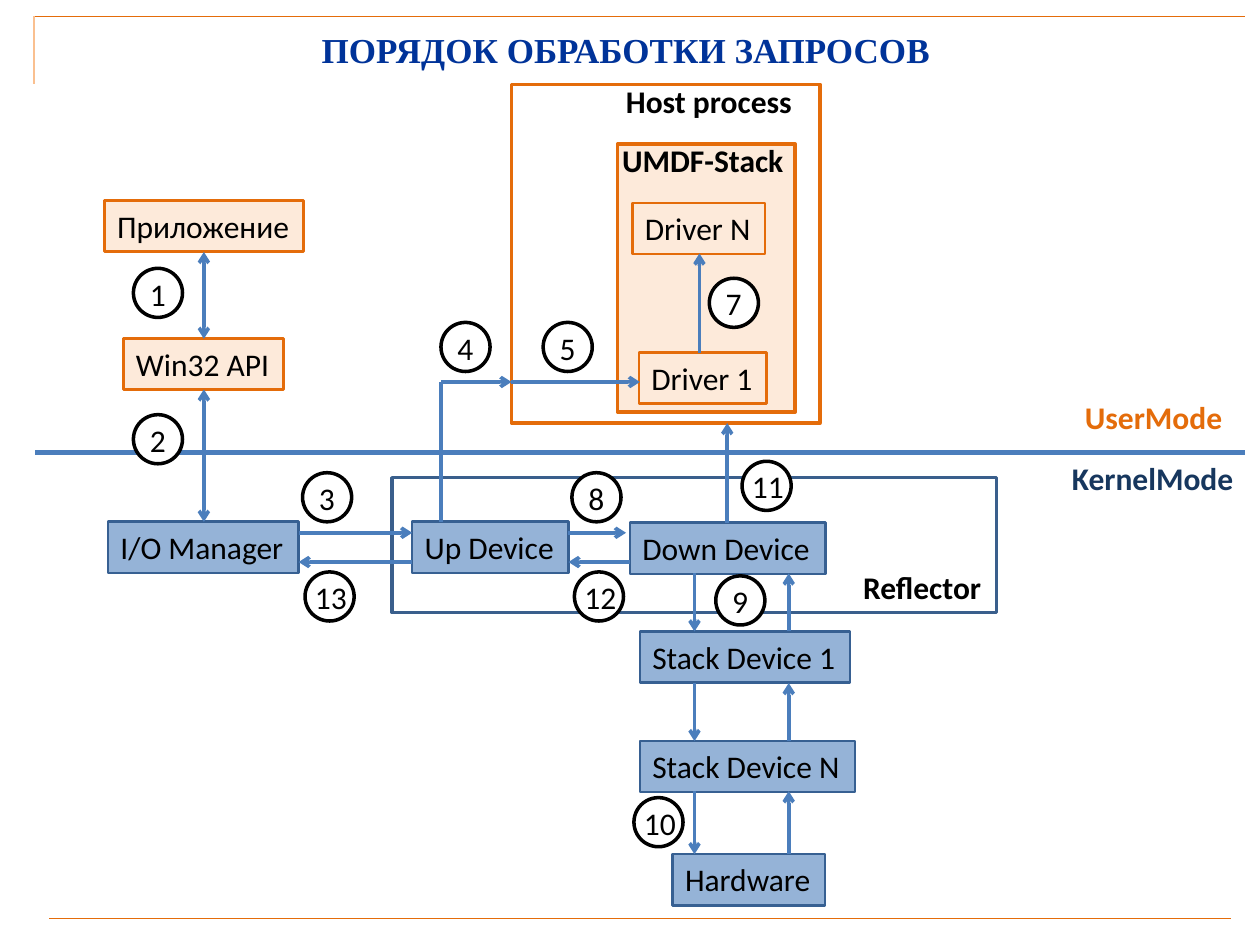
import pptx
import pptx.dml.color
import pptx.enum.shapes
import pptx.enum.text
import pptx.oxml
import pptx.oxml.ns
import pptx.util

Cm, Pt = pptx.util.Cm, pptx.util.Pt
KIND = pptx.enum.shapes.MSO_SHAPE
ALIGN = pptx.enum.text.PP_ALIGN

HUES = {
    "title": "003399", "orange": "E46C0A", "peach": "FAC090",
    "cream": "FDEADA", "sky": "95B3D7", "steel": "376092",
    "frame": "3A5F8C", "flow": "4B7EBC", "navy": "17375E",
    "black": "000000", "white": "FFFFFF",
}
USER = ("cream", "orange")
KERNEL = ("sky", "steel")
ROW = 1.03  # height of a one-line box
DISC = 0.99

# text, left, top, width, (fill, line)
BOXES = [
    ("Приложение", 2.11, 4.04, 4.01, USER),
    ("Win32 API", 2.49, 6.83, 3.23, USER),
    ("Driver N", 12.75, 4.09, 2.67, USER),
    ("Driver 1", 12.88, 7.11, 2.57, USER),
    ("I/O Manager", 2.18, 10.52, 3.84, KERNEL),
    ("Up Device", 8.31, 10.52, 3.15, KERNEL),
    ("Down Device", 12.7, 10.54, 3.94, KERNEL),
    ("Stack Device 1", 12.9, 12.73, 4.24, KERNEL),
    ("Stack Device N", 12.9, 14.94, 4.34, KERNEL),
    ("Hardware", 13.56, 17.22, 3.07, KERNEL),
]
LABELS = [
    ("UserMode", 21.62, 7.9, 3.3, "orange"),
    ("KernelMode", 21.36, 9.12, 3.78, "navy"),
    ("Reflector", 17.15, 11.33, 2.92, "black"),
    ("UMDF-Stack", 12.29, 2.72, 3.81, "black"),
    ("Host process", 12.37, 1.52, 3.89, "black"),
]
STEPS = {
    1: (2.69, 5.41), 2: (2.69, 8.36), 3: (6.1, 9.53), 4: (8.89, 6.5),
    5: (10.95, 6.5), 7: (14.3, 5.61), 8: (11.53, 9.53), 9: (14.43, 11.61),
    10: (12.78, 16.08), 11: (14.96, 9.3), 12: (11.58, 11.53),
    13: (6.15, 11.53),
}
# x and y of the start, then of the end
ARROWS = [
    (6.02, 10.74, 8.31, 10.74), (8.31, 11.33, 6.02, 11.33),
    (11.46, 10.74, 12.62, 10.74), (12.7, 11.33, 11.46, 11.33),
    (8.89, 7.7, 10.31, 7.7), (10.31, 7.7, 12.9, 7.7),
    (14.1, 7.11, 14.1, 5.11), (14.66, 10.54, 14.66, 8.53),
]
GAPS = [(11.56, 12.73), (13.77, 14.94), (15.95, 17.22)]


def hue(name):
    return pptx.dml.color.RGBColor.from_string(HUES[name])


def write(shape, text, color="black", size=18, bold=False,
          face="Calibri", wrap=False, align=ALIGN.LEFT):
    frame = shape.text_frame
    frame.text = text
    frame.word_wrap = wrap
    frame.auto_size = pptx.enum.text.MSO_AUTO_SIZE.SHAPE_TO_FIT_TEXT
    frame.vertical_anchor = pptx.enum.text.MSO_ANCHOR.TOP
    para = frame.paragraphs[0]
    para.alignment = align
    font = para.runs[0].font
    font.name, font.size, font.bold = face, Pt(size), bold
    font.color.rgb = hue(color)


def place(home, kind, area, fill, edge, width):
    """Add a preset shape with a plain fill and outline."""
    shape = home.shapes.add_shape(kind, *map(Cm, area))
    shape.shadow.inherit = False
    if fill:
        shape.fill.solid()
        shape.fill.fore_color.rgb = hue(fill)
    else:
        shape.fill.background()
    shape.line.color.rgb = hue(edge)
    shape.line.width = Pt(width)
    return shape


def label(home, text, area, **style):
    write(home.shapes.add_textbox(*map(Cm, area)), text, **style)


def rule(slide, ends, color="flow", width=2, tips=()):
    """Draw a line; tips names the ends that get an arrowhead."""
    line = slide.shapes.add_connector(
        pptx.enum.shapes.MSO_CONNECTOR.STRAIGHT, *map(Cm, ends))
    line.line.color.rgb = hue(color)
    line.line.width = Pt(width)
    stroke = line.line._get_or_add_ln()
    for tip in tips:
        end = pptx.oxml.parse_xml(
            f'<a:{tip} {pptx.oxml.ns.nsdecls("a")} type="arrow"/>')
        stroke.append(end)
    line._element.spPr.append(pptx.oxml.parse_xml(
        f'<a:effectLst {pptx.oxml.ns.nsdecls("a")}/>'))


def arrow(slide, ends, both=False):
    tips = ("headEnd", "tailEnd") if both else ("tailEnd",)
    rule(slide, ends, tips=tips)


def step(slide, num, left, top):
    """Add a numbered disc."""
    group = slide.shapes.add_group_shape()
    place(group, KIND.OVAL, (left, top, DISC, DISC), "white", "black", 2)
    shift, width = (0.08, 0.84) if num < 10 else (-0.05, 1.17)
    label(group, str(num), (left + shift, top, width, ROW))


def main():
    deck = pptx.Presentation()
    deck.slide_width, deck.slide_height = Cm(25.4), Cm(19.05)
    slide = deck.slides.add_slide(deck.slide_layouts[6])

    label(slide, "ПОРЯДОК ОБРАБОТКИ ЗАПРОСОВ", (2.39, 0.46, 20.45, 1.12),
          color="title", size=20, bold=True, face="Times New Roman",
          wrap=True, align=ALIGN.CENTER)
    rule(slide, (0.69, 0.33, 25.1, 0.33), "orange", 0.75)
    rule(slide, (0.69, 0.33, 0.69, 1.7), "peach", 1.5)
    rule(slide, (0.99, 18.52, 24.82, 18.52), "orange", 0.75)
    rule(slide, (0.71, 9.12, 25.1, 9.12), width=3)

    rect = KIND.RECTANGLE
    place(slide, rect, (7.9, 9.63, 12.19, 2.72), None, "frame", 2)
    place(slide, rect, (12.45, 2.9, 3.58, 5.41), "cream", "orange", 2)
    place(slide, rect, (10.31, 1.7, 6.22, 6.83), None, "orange", 2)
    for text, left, top, width, (fill, edge) in BOXES:
        box = place(slide, rect, (left, top, width, ROW), fill, edge, 1.5)
        write(box, text)
    for text, left, top, width, color in LABELS:
        label(slide, text, (left, top, width, ROW), color=color, bold=True)

    for top, low in [(5.08, 6.83), (7.85, 10.52)]:
        arrow(slide, (4.11, top, 4.11, low), both=True)
    for top, low in GAPS:
        arrow(slide, (14, top, 14, low))
        arrow(slide, (15.9, low, 15.9, top))
    rule(slide, (8.89, 10.52, 8.89, 7.7))
    for ends in ARROWS:
        arrow(slide, ends)
    for num, (left, top) in STEPS.items():
        step(slide, num, left, top)

    deck.save("out.pptx")


if __name__ == "__main__":
    main()
